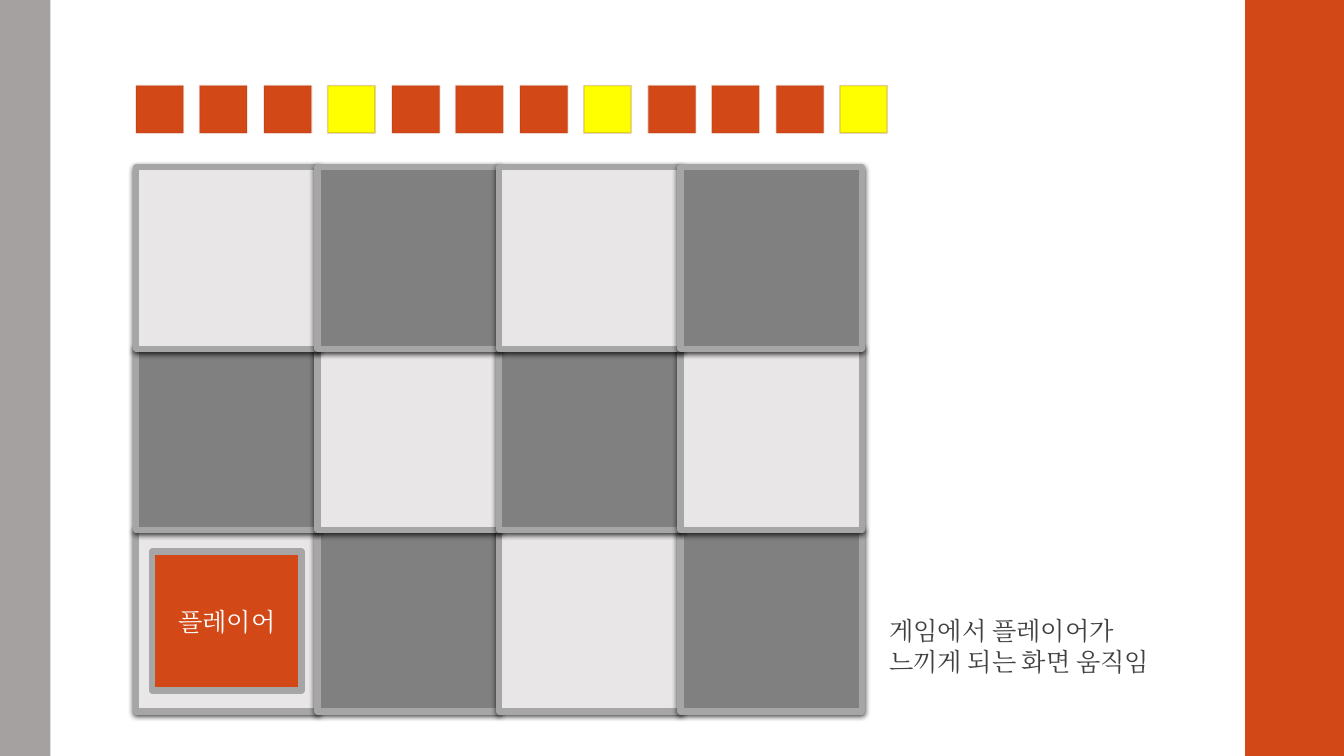
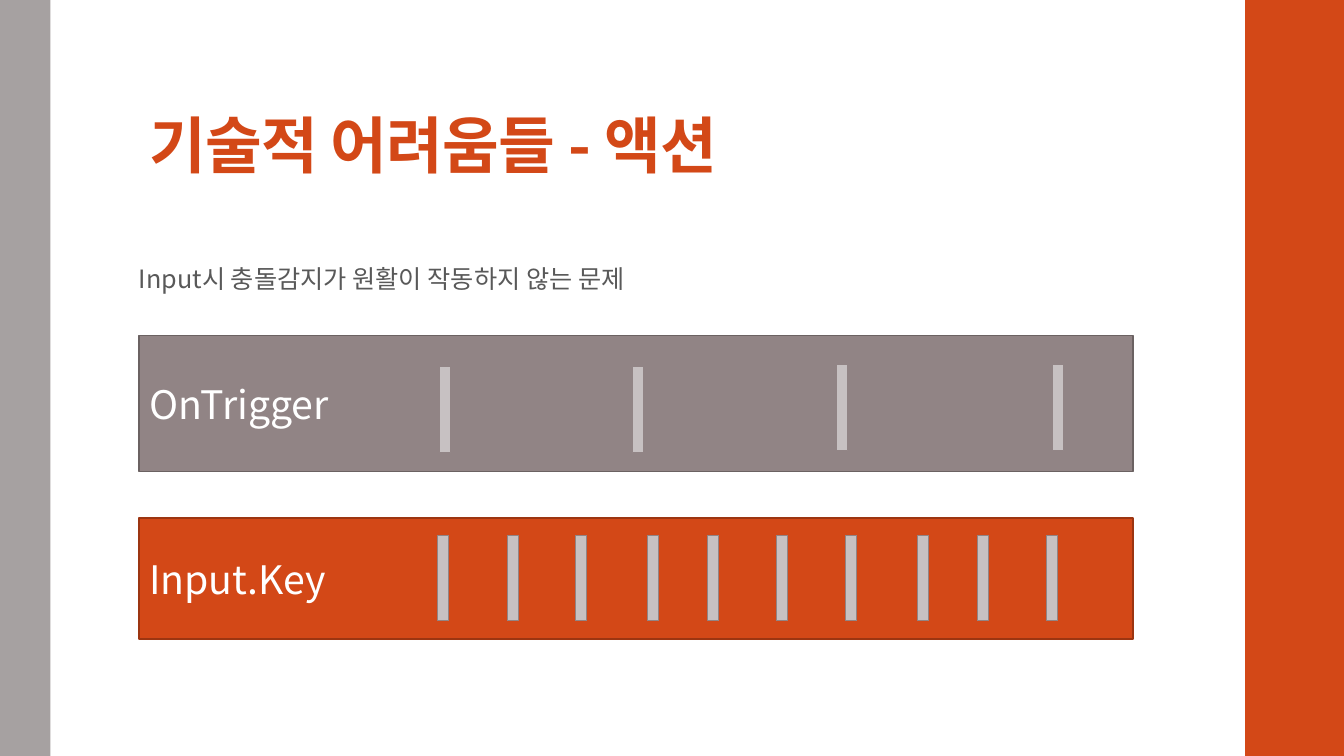
from dataclasses import dataclass

from lxml import etree
from pptx import Presentation
from pptx.dml.color import RGBColor
from pptx.enum.shapes import MSO_SHAPE
from pptx.enum.text import MSO_ANCHOR, MSO_AUTO_SIZE, PP_ALIGN
from pptx.oxml.ns import qn
from pptx.util import Pt

RECT = MSO_SHAPE.RECTANGLE
LEFT, CENTER = PP_ALIGN.LEFT, PP_ALIGN.CENTER
TOP, MIDDLE, BOTTOM = MSO_ANCHOR.TOP, MSO_ANCHOR.MIDDLE, MSO_ANCHOR.BOTTOM
FIXED = MSO_AUTO_SIZE.NONE
SCALE = 9144
TITLE_ONLY, BLANK = 5, 6


@dataclass(frozen=True)
class Theme:
    """Colours, fonts, type sizes and line widths."""
    orange: str = "D34817"
    rust: str = "9C3511"
    maroon: str = "732117"
    yellow: str = "FFFF00"
    white: str = "FFFFFF"
    black: str = "000000"
    side: str = "A6A1A1"
    pale: str = "E9E6E7"
    gray: str = "808080"
    frame: str = "A6A6A6"
    taupe: str = "918485"
    umber: str = "6B6262"
    tick: str = "C7C1C2"
    ink: str = "404040"
    soft: str = "595959"
    serif: str = "Cambria"
    sans: str = "Noto Sans CJK KR"
    head: int = 44
    label: int = 28
    body: int = 18
    thick: float = 4.5
    thin: float = 1.1
    hair: float = 0.75


def px(num):
    """Turn px into EMU."""
    return num * SCALE


def rgb(code):
    """Turn a hex code into a colour."""
    return RGBColor.from_string(code)


class Deck:
    """Holds the style and the current slide."""

    def __init__(self, theme):
        """Start an empty wide deck."""
        self.theme = theme
        self.file = Presentation()
        self.file.slide_width, self.file.slide_height = px(1333), px(750)
        self.slide = None

    def page(self, kind):
        """Add a slide and make it current."""
        self.slide = self.file.slides.add_slide(self.file.slide_layouts[kind])

    def bands(self):
        """Move both side bands to the master."""
        tree = self.file.slide_master.shapes.element
        for left, width, fill in ((1235, 100, self.theme.orange), (0, 50, self.theme.side)):
            tree.insert(2, self.box(left, 0, width, 750, fill).element)

    def box(self, left, top, width, height, fill, line=None, weight=0):
        """Draw a flat rectangle."""
        shape = self.slide.shapes.add_shape(RECT, px(left), px(top), px(width), px(height))
        shape.shadow.inherit = False
        shape.fill.solid()
        shape.fill.fore_color.rgb = rgb(fill)
        if line:
            shape.line.color.rgb = rgb(line)
            shape.line.width = Pt(weight)
        else:
            shape.line.fill.background()
        return shape

    def tile(self, left, top, size, fill):
        """Draw a framed board tile with a shadow."""
        shape = self.box(left, top, size, size, fill, self.theme.frame, self.theme.thick)
        glow = shape.element.spPr.find(qn("a:effectLst"))
        cast = etree.SubElement(glow, qn("a:outerShdw"), blurRad="50800", dist="15240",
                                dir="5400000", algn="ctr", rotWithShape="0")
        tone = etree.SubElement(cast, qn("a:srgbClr"), val=self.theme.black)
        etree.SubElement(tone, qn("a:alpha"), val="75000")

    def beat(self, left, top, size, fill, line):
        """Draw a small square with a faint outline."""
        shape = self.box(left, top, size, size, fill, line, self.theme.thin)
        tone = shape.element.spPr.find(qn("a:ln")).find(".//" + qn("a:srgbClr"))
        etree.SubElement(tone, qn("a:alpha"), val="20000")

    def text(self, shape, words, size, color, face, align=LEFT, anchor=MIDDLE):
        """Fill a shape with one styled paragraph."""
        frame = shape.text_frame
        frame.word_wrap = True
        frame.vertical_anchor = anchor
        para = frame.paragraphs[0]
        para.text = words
        para.alignment = align
        font = para.font
        font.size = Pt(size)
        font.name = face
        font.color.rgb = rgb(color)
        for latin in shape.element.iter(qn("a:latin")):
            latin.addnext(latin.makeelement(qn("a:ea"), typeface=face))
        return para

    def note(self, left, top, width, height, words, color, face):
        """Add a wrapped text box."""
        shape = self.slide.shapes.add_textbox(px(left), px(top), px(width), px(height))
        self.text(shape, words, self.theme.body, color, face, anchor=TOP)

    def title(self, words):
        """Place and format the title."""
        shape = self.slide.shapes.title
        shape.left, shape.top, shape.width, shape.height = px(138), px(32), px(1060), px(153)
        para = self.text(shape, words, self.theme.head, self.theme.orange,
                         self.theme.sans, anchor=BOTTOM)
        para.line_spacing = 0.9
        para.font.bold = True
        for props in shape.element.iter(qn("a:defRPr")):
            props.set("spc", "-50")
        frame = shape.text_frame
        frame.auto_size = FIXED
        frame.margin_top, frame.margin_bottom = px(3), px(5)

    def track(self, top, height, words, fill, line, ticks):
        """Draw a labelled bar with its ticks."""
        theme = self.theme
        bar = self.box(138, top, 986, height, fill, line, theme.thin)
        self.text(bar, words, theme.label, theme.white, theme.sans)
        for left, above in ticks:
            self.box(left, above, 11, 85, theme.tick, theme.taupe, theme.hair)


def board(deck):
    """Build the game board slide."""
    theme = deck.theme
    deck.page(BLANK)
    deck.bands()
    for row in range(3):
        for col in range(4):
            fill = theme.gray if (row + col) % 2 else theme.pale
            deck.tile(135 + 180 * col, 526 - 180 * row, 180, fill)
    player = deck.box(151, 547, 148, 138, theme.orange, theme.frame, theme.thick)
    deck.text(player, "플레이어", theme.body, theme.white, theme.serif, CENTER)
    for step in range(12):
        fill, line = (theme.yellow, theme.maroon) if step % 4 == 3 else (theme.orange, theme.rust)
        deck.beat(135 + 127 * step // 2, 85, 47, fill, line)
    deck.note(872, 606, 293, 71, "게임에서 플레이어가 느끼게 되는 화면 움직임",
              theme.ink, theme.serif)


def action(deck):
    """Build the input timing slide."""
    theme = deck.theme
    deck.page(TITLE_ONLY)
    deck.title("기술적 어려움들 - 액션")
    hits = ((436, 364), (627, 364), (830, 362), (1044, 362))
    keys = [(left, 531) for left in (434, 503, 571, 642, 702, 770, 839, 910, 969, 1038)]
    deck.track(333, 135, "OnTrigger", theme.taupe, theme.umber, hits)
    deck.track(514, 120, "Input.Key", theme.orange, theme.rust, keys)
    deck.note(128, 256, 504, 40, "Input시 충돌감지가 원활이 작동하지 않는 문제",
              theme.soft, theme.sans)


def main():
    """Build and save the deck."""
    deck = Deck(Theme())
    board(deck)
    action(deck)
    deck.file.save("out.pptx")


if __name__ == "__main__":
    main()
